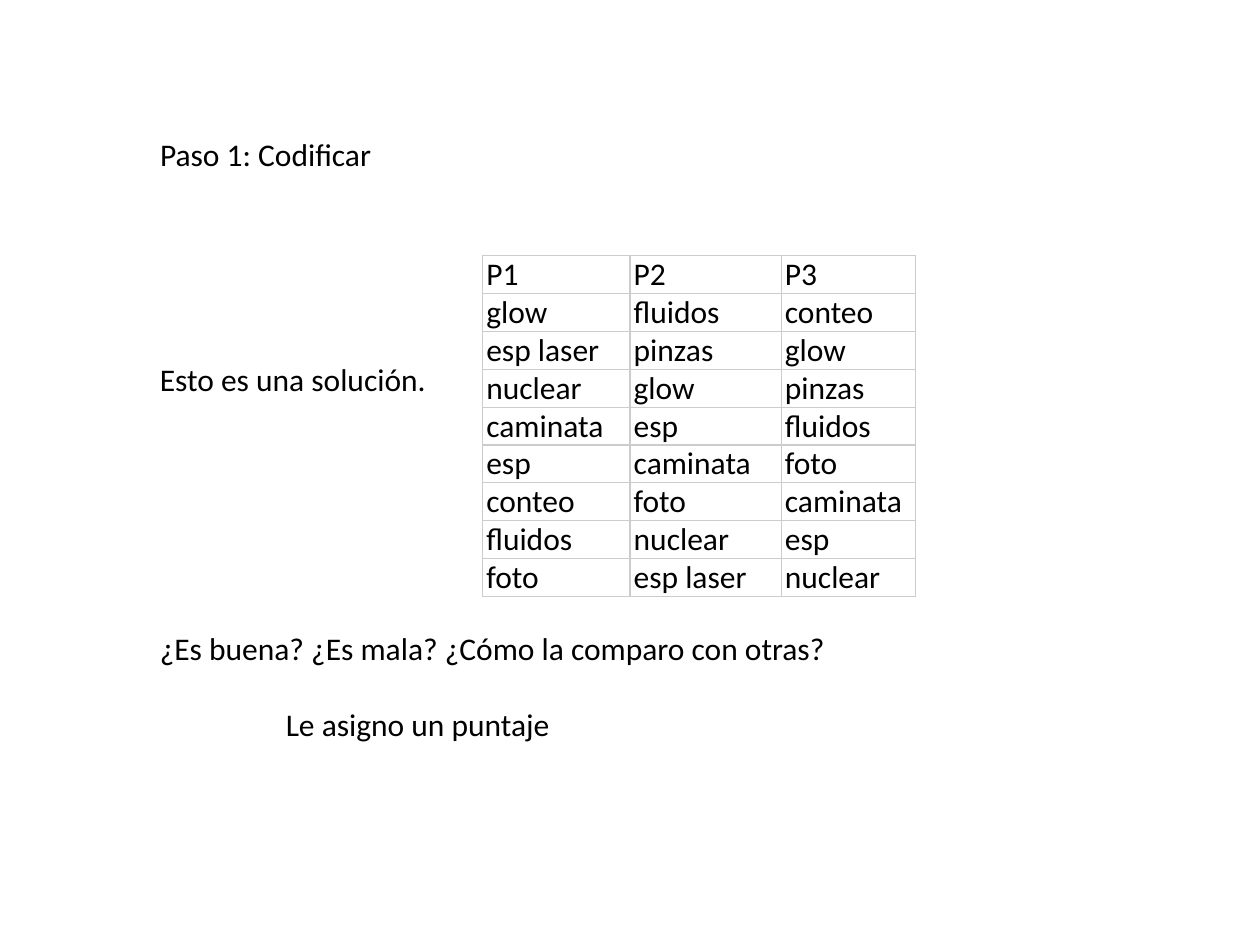
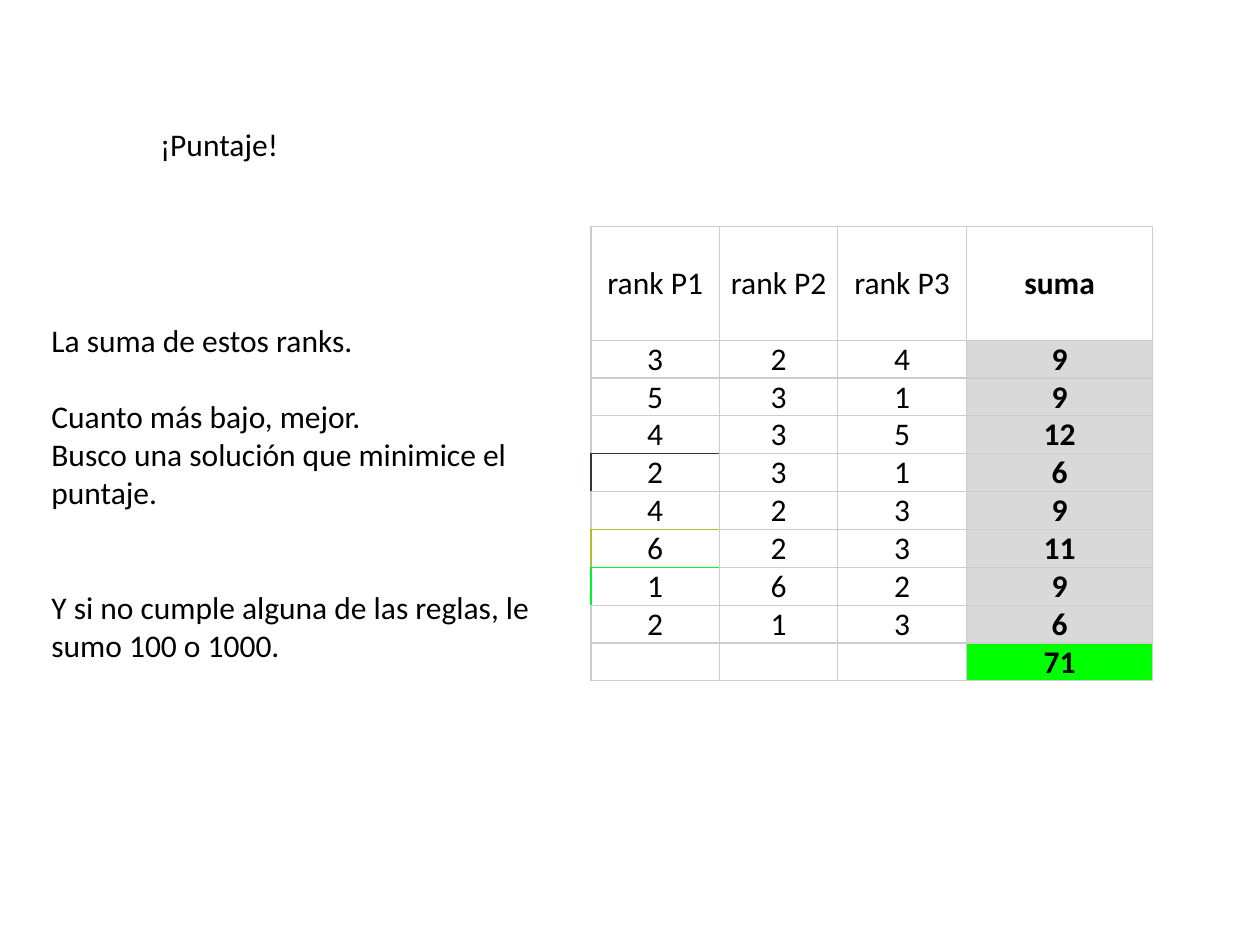
from dataclasses import dataclass, field

import lxml.etree
import pptx
import pptx.dml.color
import pptx.enum.text
import pptx.oxml.ns
import pptx.util
from pptx.util import Inches

RGBColor = pptx.dml.color.RGBColor
PP_ALIGN = pptx.enum.text.PP_ALIGN
MSO_ANCHOR = pptx.enum.text.MSO_ANCHOR

BLACK = RGBColor(0x00, 0x00, 0x00)
GRID = RGBColor(0xCC, 0xCC, 0xCC)
SUM_GRAY = RGBColor(0xD9, 0xD9, 0xD9)
TOTAL_GREEN = RGBColor(0x00, 0xFF, 0x00)
OLIVE_DARK = RGBColor(0x30, 0x3C, 0x27)
OLIVE = RGBColor(0xB0, 0xBE, 0x27)
LIME = RGBColor(0x00, 0xF8, 0x27)

FONT = "Calibri"
SIZE = pptx.util.Pt(18)
LINE_PT = 22  # height of one text line
ROW_HEIGHT = 0.3
TITLE_ONLY = 5


@dataclass
class Line:
    text: str
    gap: int = 0  # free lines above
    indent: float = 0


@dataclass
class Grid:
    left: float
    top: float
    widths: list[float]
    rows: list[list[str]]
    header_height: float = ROW_HEIGHT
    align: PP_ALIGN = PP_ALIGN.LEFT
    anchor: MSO_ANCHOR = MSO_ANCHOR.BOTTOM
    sum_column: int | None = None
    accents: dict[int, RGBColor] = field(default_factory=dict)  # first-column row: colour


def style(p, bold: bool = False) -> None:
    p.font.name = FONT
    p.font.size = SIZE
    p.font.bold = bold
    p.font.color.rgb = BLACK


def add_title(s, text: str, left: float, top: float, width: float) -> None:
    sp = s.shapes.title
    sp.left, sp.top, sp.width, sp.height = map(Inches, (left, top, width, 0.4))
    tf = sp.text_frame
    tf.text = text
    tf.vertical_anchor = MSO_ANCHOR.TOP
    p = tf.paragraphs[0]
    p.alignment = PP_ALIGN.LEFT
    style(p)


def add_text(s, lines: list[Line], left: float, top: float, width: float) -> None:
    tf = s.shapes.add_textbox(*map(Inches, (left, top, width, 3.13))).text_frame
    tf.word_wrap = True
    for i, line in enumerate(lines):
        p = tf.add_paragraph() if i else tf.paragraphs[0]
        p.text = line.text
        p.space_before = pptx.util.Pt(line.gap * LINE_PT)
        style(p)
        if line.indent:
            p._p.get_or_add_pPr().set("marL", str(Inches(line.indent)))


def set_borders(cell, colors: dict[str, RGBColor]) -> None:
    """Draw the four sides; sides missing from colors get the grid colour."""
    qn = pptx.oxml.ns.qn
    tc_pr = cell._tc.get_or_add_tcPr()
    for i, side in enumerate("LRTB"):
        ln = lxml.etree.Element(qn(f"a:ln{side}"), w=str(pptx.util.Pt(0.75)))
        fill = lxml.etree.SubElement(ln, qn("a:solidFill"))
        lxml.etree.SubElement(fill, qn("a:srgbClr"), val=str(colors.get(side, GRID)))
        tc_pr.insert(i, ln)


def accent_sides(grid: Grid, row: int, col: int) -> dict[str, RGBColor]:
    """An accent runs along the left and top of its cell in the first column."""
    sides = {}
    if col == 0 and row in grid.accents:
        sides["L"] = sides["T"] = grid.accents[row]
    if col == 0 and row + 1 in grid.accents:
        sides["B"] = grid.accents[row + 1]
    return sides


def fill_cell(cell, grid: Grid, row: int, col: int) -> None:
    if col == grid.sum_column and row > 0:
        cell.fill.solid()
        is_total = row == len(grid.rows) - 1
        cell.fill.fore_color.rgb = TOTAL_GREEN if is_total else SUM_GRAY
    else:
        cell.fill.background()


def add_grid(s, grid: Grid) -> None:
    height = grid.header_height + ROW_HEIGHT * (len(grid.rows) - 1)
    box = map(Inches, (grid.left, grid.top, sum(grid.widths), height))
    table = s.shapes.add_table(len(grid.rows), len(grid.widths), *box).table
    table.first_row = table.horz_banding = False
    for column, width in zip(table.columns, grid.widths):
        column.width = Inches(width)
    for i, texts in enumerate(grid.rows):
        table.rows[i].height = Inches(ROW_HEIGHT if i else grid.header_height)
        for j, text in enumerate(texts):
            cell = table.cell(i, j)
            cell.margin_left = cell.margin_right = Inches(0.03)
            cell.margin_top = cell.margin_bottom = 0
            cell.vertical_anchor = grid.anchor
            cell.text = text
            p = cell.text_frame.paragraphs[0]
            p.alignment = grid.align
            style(p, bold=j == grid.sum_column)
            fill_cell(cell, grid, i, j)
            set_borders(cell, accent_sides(grid, i, j))


def main() -> None:
    prs = pptx.Presentation()
    prs.slide_width, prs.slide_height = Inches(10), Inches(7.5)
    layout = prs.slide_layouts[TITLE_ONLY]

    # Slide 1: one coded solution
    s = prs.slides.add_slide(layout)
    add_title(s, "Paso 1: Codificar", 1.17, 1.02, 6.33)
    add_text(s, [
        Line("Esto es una solución."),
        Line("¿Es buena? ¿Es mala? ¿Cómo la comparo con otras?", gap=6),
        Line("Le asigno un puntaje", gap=1, indent=1),
    ], 1.17, 2.81, 5.54)
    add_grid(s, Grid(3.83, 2.03, [1.17, 1.2, 1.07], [
        ["P1", "P2", "P3"],
        ["glow", "fluidos", "conteo"],
        ["esp laser", "pinzas", "glow"],
        ["nuclear", "glow", "pinzas"],
        ["caminata", "esp", "fluidos"],
        ["esp", "caminata", "foto"],
        ["conteo", "foto", "caminata"],
        ["fluidos", "nuclear", "esp"],
        ["foto", "esp laser", "nuclear"],
    ]))

    # Slide 2: its score, the sum of the ranks
    s = prs.slides.add_slide(layout)
    add_title(s, "¡Puntaje!", 1.17, 0.94, 5.08)
    add_text(s, [
        Line("La suma de estos ranks."),
        Line("Cuanto más bajo, mejor.", gap=1),
        Line("Busco una solución que minimice el puntaje."),
        Line("Y si no cumple alguna de las reglas, le sumo 100 o 1000.", gap=2),
    ], 0.31, 2.5, 4.06)
    ranks = [(3, 2, 4), (5, 3, 1), (4, 3, 5), (2, 3, 1),
             (4, 2, 3), (6, 2, 3), (1, 6, 2), (2, 1, 3)]
    add_grid(s, Grid(
        4.69, 1.8, [1.02, 0.94, 1.02, 1.48],
        [["rank P1", "rank P2", "rank P3", "suma"],
         *([str(n) for n in (*row, sum(row))] for row in ranks),
         ["", "", "", str(sum(map(sum, ranks)))]],
        header_height=0.9, align=PP_ALIGN.CENTER, anchor=MSO_ANCHOR.MIDDLE,
        sum_column=3, accents={4: OLIVE_DARK, 6: OLIVE, 7: LIME}))

    prs.save("out.pptx")


if __name__ == "__main__":
    main()
